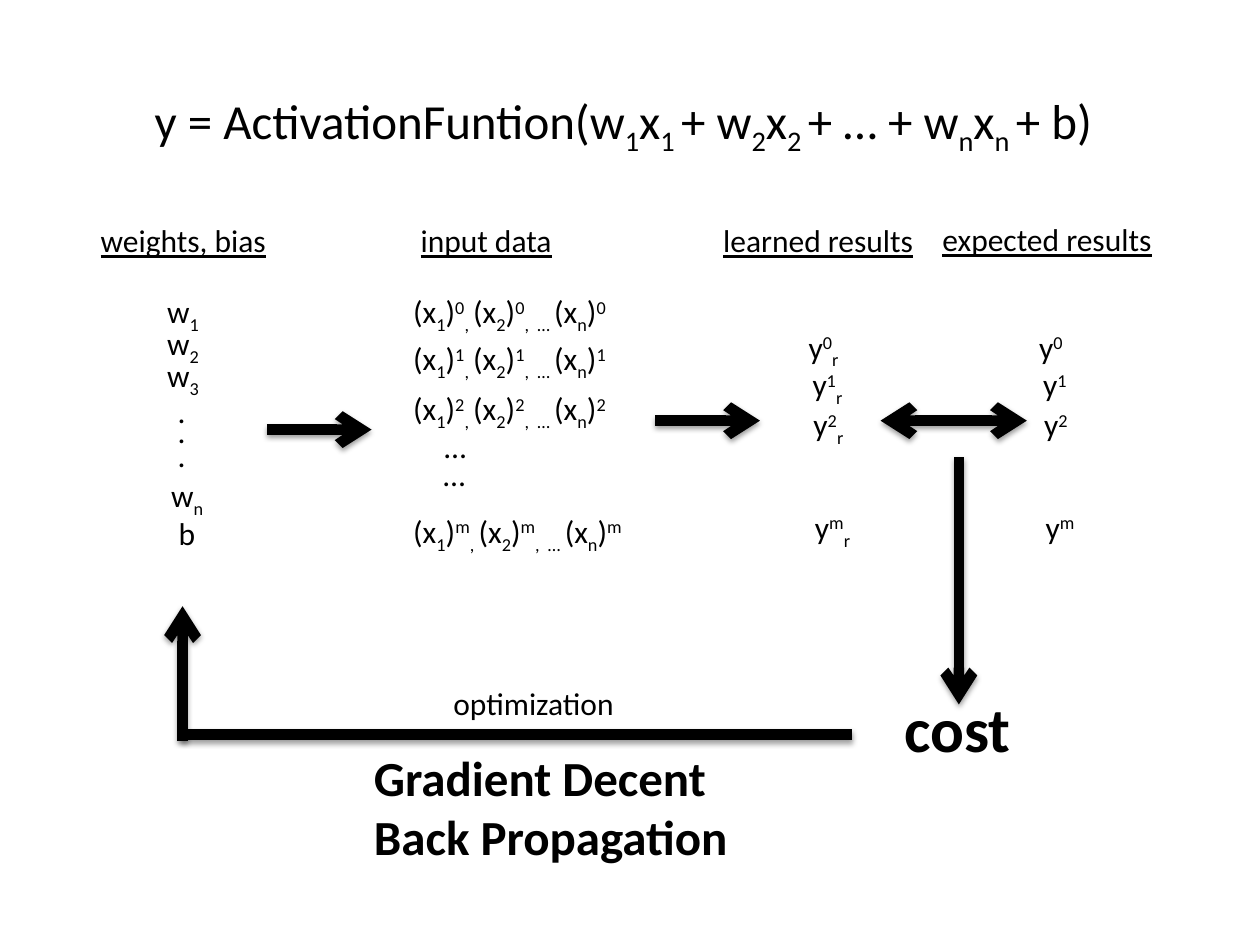
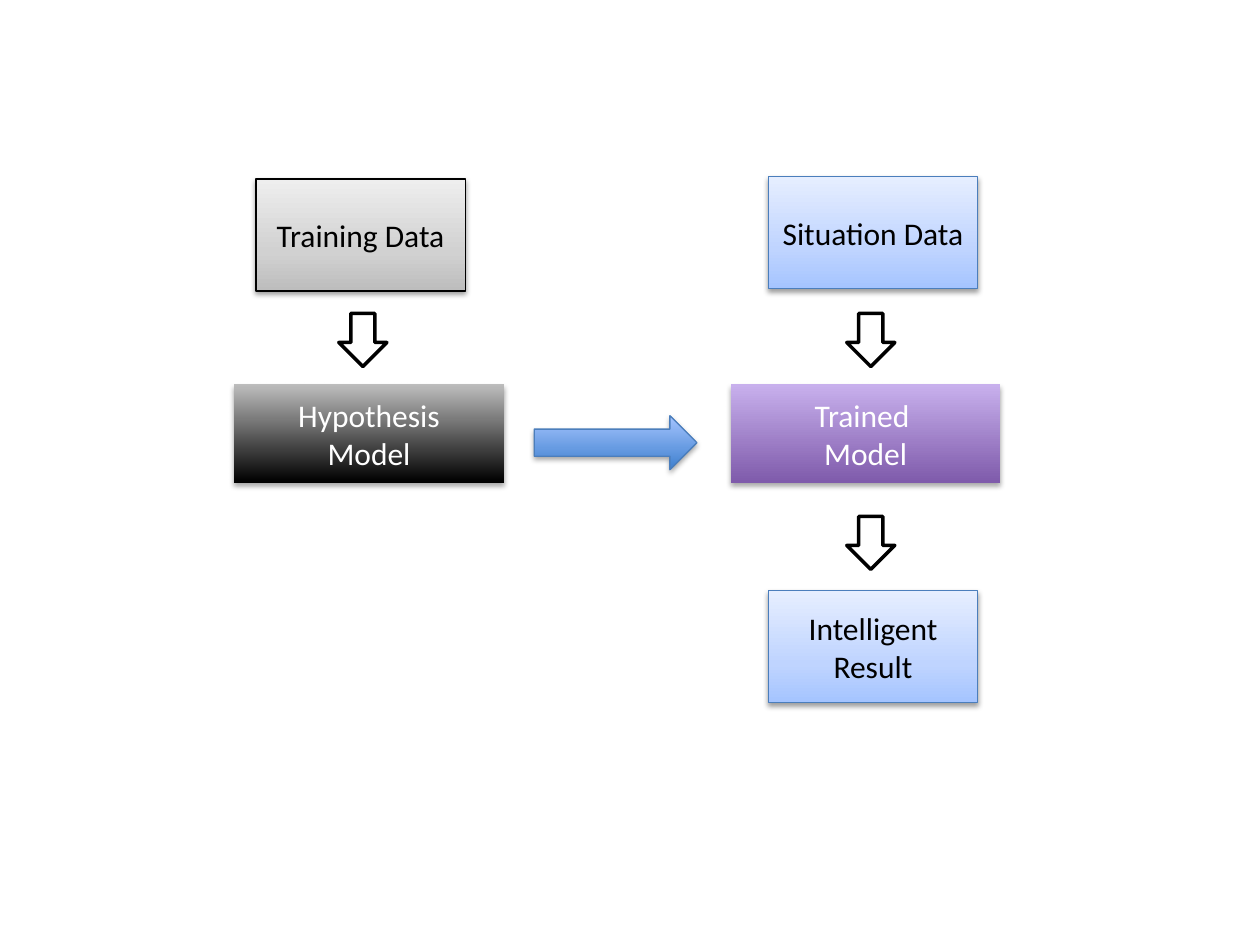
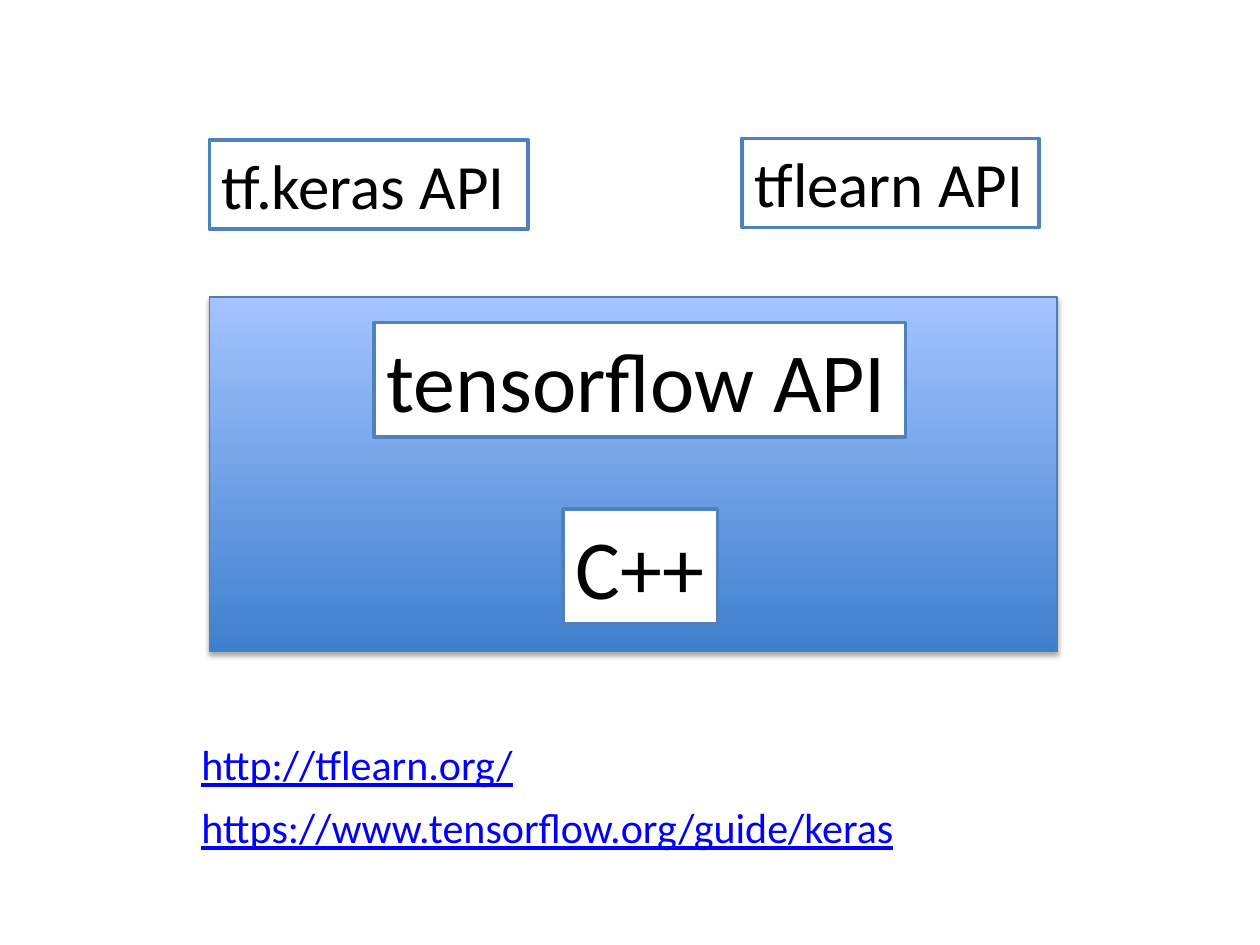
from copy import deepcopy
from dataclasses import dataclass
from typing import Optional

from pptx import Presentation
from pptx import util as u
from pptx.dml.color import RGBColor
from pptx.enum import shapes, text
from pptx.oxml import parse_xml
from pptx.oxml.ns import nsdecls, qn
from pptx.oxml.xmlchemy import OxmlElement

FONT = "Calibri"
BLACK = RGBColor(0x00, 0x00, 0x00)
WHITE = RGBColor(0xFF, 0xFF, 0xFF)
LINK_BLUE = RGBColor(0x00, 0x00, 0xFF)
EDGE_BLUE = RGBColor(0x4B, 0x7E, 0xBC)
FRAME_BLUE = RGBColor(0x4F, 0x81, 0xBD)
SKY = RGBColor(0xA4, 0xC4, 0xFF)
SILVER = RGBColor(0xBD, 0xBD, 0xBD)

BLUE_FADE = ((0, RGBColor(0x3F, 0x80, 0xCE)), (1, SKY))
BLACK_FADE = ((0, BLACK), (1, SILVER))
PURPLE_FADE = ((0, RGBColor(0x7F, 0x5B, 0xAB)), (1, RGBColor(0xC8, 0xB0, 0xED)))
GRAY_TINT = ((0, SILVER), (0.35, RGBColor(0xD1, 0xD1, 0xD1)), (1, RGBColor(0xEE, 0xEE, 0xEE)))
BLUE_TINT = ((0, SKY), (0.35, RGBColor(0xBF, 0xD4, 0xFF)), (1, RGBColor(0xE6, 0xEE, 0xFF)))

RECT = shapes.MSO_SHAPE.RECTANGLE
DOWN = shapes.MSO_SHAPE.DOWN_ARROW
RIGHT = shapes.MSO_SHAPE.RIGHT_ARROW
BASELINES = {"_": "-25000", "^": "30000"}


@dataclass(frozen=True)
class Shadow:
    distance: float
    opacity: int


SOFT = Shadow(1.6, 38)
DEEP = Shadow(1.8, 35)


@dataclass(frozen=True)
class Style:
    size: int = 18
    color: RGBColor = BLACK
    bold: bool = False
    underline: bool = False


PLAIN = Style()
HEADING = Style(underline=True)
LINK = Style(24, LINK_BLUE, underline=True)


@dataclass(frozen=True)
class Label:
    words: str
    left: float
    top: float
    width: float
    height: float = 1.02
    style: Style = PLAIN


@dataclass(frozen=True)
class Block:
    kind: shapes.MSO_SHAPE
    left: float
    top: float
    width: float
    height: float
    fill: object = WHITE
    edge: Optional[RGBColor] = None
    weight: float = 0.75
    shadow: Optional[Shadow] = None
    words: str = ""
    style: Style = PLAIN
    fitted: bool = False


@dataclass(frozen=True)
class Arrow:
    start: tuple[float, float]
    end: tuple[float, float]
    heads: tuple[str, ...] = ("tailEnd",)


def write(frame, words: str, style: Style, align=text.PP_ALIGN.LEFT) -> None:
    for index, row in enumerate(words.split("\n")):
        para = frame.paragraphs[0] if index == 0 else frame.add_paragraph()
        para.alignment = align
        for piece in row.split("|"):
            baseline = BASELINES.get(piece[0])
            span = para.add_run()
            span.text = piece[1:] if baseline else piece
            span.font.name = FONT
            span.font.size = u.Pt(style.size)
            span.font.color.rgb = style.color
            span.font.bold = style.bold
            span.font.underline = style.underline
            if baseline:
                span._r.get_or_add_rPr().set("baseline", baseline)


def fit(frame) -> None:
    frame.word_wrap = False
    frame.auto_size = text.MSO_AUTO_SIZE.SHAPE_TO_FIT_TEXT


def cast_shadow(shape, shadow: Shadow) -> None:
    shape.element.spPr.append(parse_xml(
        f'<a:effectLst {nsdecls("a")}>'
        f'<a:outerShdw blurRad="{u.Pt(3.1)}" dist="{u.Pt(shadow.distance)}" '
        f'dir="5400000" rotWithShape="0"><a:srgbClr val="{BLACK}">'
        f'<a:alpha val="{shadow.opacity * 1000}"/></a:srgbClr>'
        '</a:outerShdw></a:effectLst>'))


def fill_gradient(shape, stops) -> None:
    shape.fill.gradient()
    shape.fill.gradient_angle = 90
    stop_list = shape.element.spPr.find(".//" + qn("a:gsLst"))
    while len(stop_list) < len(stops):
        stop_list.append(deepcopy(stop_list[0]))
    for stop, (position, color) in zip(shape.fill.gradient_stops, stops):
        stop.position = position
        stop.color.rgb = color


def draw_label(page, label: Label) -> None:
    box = page.shapes.add_textbox(
        u.Cm(label.left), u.Cm(label.top), u.Cm(label.width), u.Cm(label.height))
    fit(box.text_frame)
    write(box.text_frame, label.words, label.style)


def draw_block(page, block: Block) -> None:
    box = page.shapes.add_shape(
        block.kind, u.Cm(block.left), u.Cm(block.top), u.Cm(block.width), u.Cm(block.height))
    if isinstance(block.fill, RGBColor):
        box.fill.solid()
        box.fill.fore_color.rgb = block.fill
    else:
        fill_gradient(box, block.fill)
    if block.edge is None:
        box.line.fill.background()
    else:
        box.line.color.rgb = block.edge
        box.line.width = u.Pt(block.weight)
    if block.shadow:
        cast_shadow(box, block.shadow)
    else:
        box.shadow.inherit = False
    if block.fitted:
        fit(box.text_frame)
        box.text_frame.vertical_anchor = text.MSO_ANCHOR.TOP
    if block.words:
        align = text.PP_ALIGN.LEFT if block.fitted else text.PP_ALIGN.CENTER
        write(box.text_frame, block.words, block.style, align)


def draw_arrow(page, arrow: Arrow) -> None:
    line = page.shapes.add_connector(
        shapes.MSO_CONNECTOR.STRAIGHT, *(u.Cm(value) for value in arrow.start + arrow.end))
    line.line.color.rgb = BLACK
    line.line.width = u.Pt(6)
    for head in arrow.heads:
        end = OxmlElement(f"a:{head}")
        end.set("type", "arrow")
        line.line._get_or_add_ln().append(end)
    cast_shadow(line, SOFT)


def build_training_loop(page) -> None:
    labels = [
        Label("y = ActivationFuntion(w|_1|x|_1 |+ w|_2|x|_2 |+ … + w|_n|x|_n |+ b)",
              2.87, 1.7, 20.12, 1.45, Style(28)),
        Label("weights, bias", 1.78, 4.34, 3.89, style=HEADING),
        Label("input data", 8.23, 4.34, 3.2, style=HEADING),
        Label("learned results", 14.33, 4.34, 4.39, style=HEADING),
        Label("expected results", 18.75, 4.32, 4.8, style=HEADING),
        Label("w|_n", 3.2, 9.47, 1.19),
        Label("b", 3.35, 10.24, 0.84),
        Label("…", 8.71, 8.48, 1.04),
        Label("…", 8.69, 9.04, 1.04),
        Label("cost", 17.98, 13.77, 2.69, 1.8, Style(36, bold=True)),
        Label("optimization", 8.89, 13.67, 3.78),
        Label("Gradient Decent\nBack Propagation", 7.29, 14.94, 7.75, 2.64, Style(28, bold=True)),
    ]
    labels += [Label(f"w|_{i + 1}", 3.12, 5.77 + 0.64 * i, 1.19) for i in range(3)]
    labels += [Label(".", 3.33, top, 0.69) for top in (7.77, 8.18, 8.66)]
    samples = (("0", 5.77, 6.48, 16.05), ("1", 6.71, 7.24, 16.13),
               ("2", 7.72, 8.05, 16.15), ("m", 10.19, 10.11, 16.18))
    for sample, input_top, result_top, left in samples:
        extra = 0.13 if sample == "m" else 0
        inputs = f"(x|_1|)|^{sample}|_, |(x|_2|)|^{sample}|_,  … |(x|_n|)|^{sample}"
        labels += [
            Label(inputs, 8.08, input_top, 4.78 + 2.7 * extra),
            Label(f"y|^{sample}|_r", left, result_top, 1.17 + extra),
            Label(f"y|^{sample}", left + 4.65, result_top, 1.02 + extra),
        ]
    for label in labels:
        draw_label(page, label)
    for arrow in (
        Arrow((5.38, 8.66), (7.49, 8.66)),
        Arrow((13.21, 8.48), (15.32, 8.48)),
        Arrow((17.75, 8.48), (20.7, 8.48), ("headEnd", "tailEnd")),
        Arrow((19.33, 9.22), (19.33, 14.2)),
        Arrow((17.17, 14.81), (3.66, 14.81), ()),
        Arrow((3.68, 14.94), (3.68, 12.22)),
    ):
        draw_arrow(page, arrow)


def build_model_flow(page) -> None:
    white = Style(color=WHITE)
    models = [
        Block(RECT, left, 7.75, 5.44, 1.98, fade, shadow=DEEP, words=words, style=white)
        for left, fade, words in ((4.72, BLACK_FADE, "Hypothesis\nModel"),
                                  (14.73, PURPLE_FADE, "Trained \nModel"))]
    data = [
        Block(RECT, left, top, 4.22, 2.26, tint, edge, shadow=SOFT, words=words)
        for left, top, tint, edge, words in (
            (5.16, 3.61, GRAY_TINT, BLACK, "Training Data"),
            (15.49, 3.56, BLUE_TINT, EDGE_BLUE, "Situation Data"),
            (15.49, 11.91, BLUE_TINT, EDGE_BLUE, "Intelligent Result"))]
    steps = [
        Block(DOWN, left, top, 0.97, 1.07, WHITE, BLACK, 2)
        for left, top in ((6.83, 6.32), (17.07, 6.32), (17.07, 10.41))]
    training = Block(RIGHT, 10.77, 8.38, 3.28, 1.09, BLUE_FADE, EDGE_BLUE, shadow=DEEP)
    for block in (*models, training, *data, *steps):
        draw_block(page, block)


def build_library_stack(page) -> None:
    draw_block(page, Block(RECT, 4.22, 5.99, 17.09, 7.14, BLUE_FADE, EDGE_BLUE, shadow=DEEP))
    for words, left, top, width, height, size in (
        ("tf.keras API", 4.22, 2.82, 6.43, 1.8, 36),
        ("tflearn API", 14.96, 2.79, 5.99, 1.8, 36),
        ("tensorflow API", 7.54, 6.5, 10.72, 2.31, 48),
        ("C++", 11.35, 10.26, 3.12, 2.31, 48),
    ):
        draw_block(page, Block(RECT, left, top, width, height, WHITE, FRAME_BLUE, 2,
                               words=words, style=Style(size), fitted=True))
    draw_label(page, Label("http://tflearn.org/", 3.81, 14.76, 6.86, 1.27, LINK))
    draw_label(page, Label("https://www.tensorflow.org/guide/keras", 3.81, 16.03, 14.78, 1.27, LINK))


def main() -> None:
    deck = Presentation()
    deck.slide_width = u.Cm(25.4)
    deck.slide_height = u.Cm(19.05)
    for build in (build_training_loop, build_model_flow, build_library_stack):
        build(deck.slides.add_slide(deck.slide_layouts[6]))
    deck.save("out.pptx")


if __name__ == "__main__":
    main()
